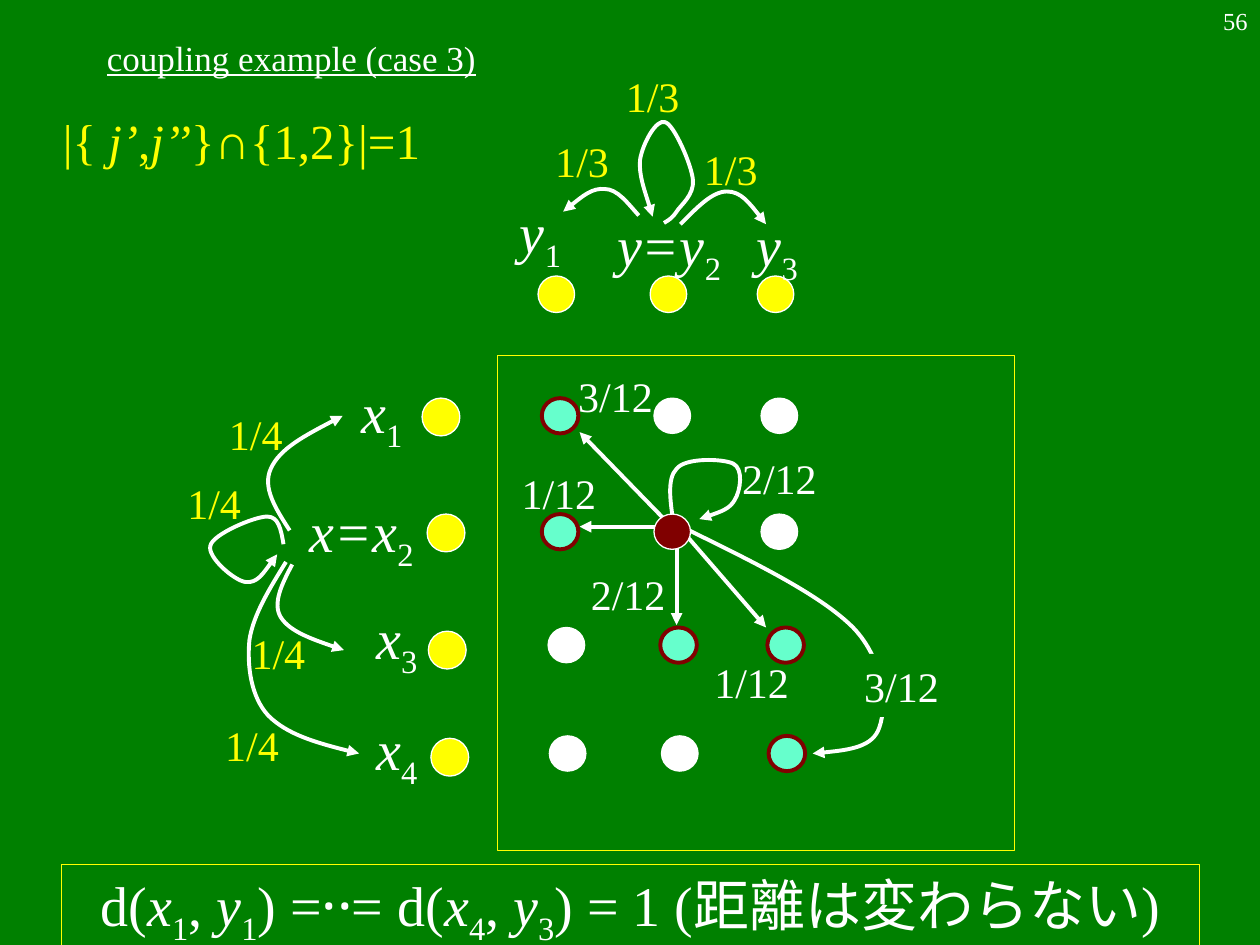
from lxml import etree
from pptx import Presentation
from pptx.dml.color import RGBColor
from pptx.enum.shapes import MSO_CONNECTOR as Connector, MSO_SHAPE as Shape
from pptx.enum.text import MSO_ANCHOR as Anchor, MSO_AUTO_SIZE as AutoSize, PP_ALIGN as Align
from pptx.oxml.ns import qn
from pptx.util import Inches, Pt

GREEN = RGBColor(0x00, 0x80, 0x00)
WHITE = RGBColor(0xFF, 0xFF, 0xFF)
YELLOW = RGBColor(0xFF, 0xFF, 0x00)
MAROON = RGBColor(0x80, 0x00, 0x00)
AQUA = RGBColor(0x66, 0xFF, 0xCC)
FONT = "Times New Roman"

# Dot grid: row (left, top, colours), with shared column offsets
COLUMNS = (0, 0.89, 1.74)
GRID_ROWS = (
    (4.3, 3.16, (AQUA, WHITE, WHITE)),
    (4.3, 4.08, (AQUA, MAROON, WHITE)),
    (4.35, 4.98, (WHITE, AQUA, AQUA)),
    (4.36, 5.84, (WHITE, WHITE, AQUA)),
)
X_DOTS = ((3.35, 3.16), (3.39, 4.08), (3.4, 5.01), (3.42, 5.86))

# State names: left, top, width, letters, index
STATES = (
    (2.76, 2.95, 0.54, "x", "1"), (2.35, 3.89, 1.04, "x=x", "2"),
    (2.88, 4.74, 0.54, "x", "3"), (2.88, 5.62, 0.54, "x", "4"),
    (4.02, 1.52, 0.54, "y", "1"), (4.79, 1.62, 1.04, "y=y", "2"),
    (5.9, 1.62, 0.54, "y", "3"),
)
MARGINAL_LABELS = (
    (4.86, 0.51, "1/3"), (5.48, 1.09, "1/3"), (4.3, 1.03, "1/3"),
    (1.38, 3.74, "1/4"), (1.71, 3.19, "1/4"), (1.89, 4.93, "1/4"), (1.68, 5.66, "1/4"),
)
JOINT_LABELS = (
    (4.49, 2.89, "3/12"), (4.04, 3.66, "1/12"), (5.79, 3.54, "2/12"),
    (4.59, 4.46, "2/12"), (5.57, 5.16, "1/12"),
)
STRAIGHT_ARROWS = (
    ((5.33, 4.18), (4.6, 3.43)), ((5.33, 4.18), (4.6, 4.18)),
    ((5.37, 4.21), (5.37, 4.96)), ((5.43, 4.23), (6.08, 4.98)),
)

# Bezier curves: a start, then two control points and an end per piece
JOINT_CURVES = (
    ((5.35, 4.18), (5.32, 3.99), (5.29, 3.8), (5.37, 3.72), (5.44, 3.63), (5.74, 3.64),
     (5.82, 3.68), (5.9, 3.72), (5.88, 3.89), (5.83, 3.97), (5.79, 4.04), (5.67, 4.08),
     (5.55, 4.12)),
    ((5.45, 4.2), (5.98, 4.46), (6.51, 4.72), (6.77, 4.98), (7.02, 5.24), (7.04, 5.6),
     (6.98, 5.77), (6.93, 5.93), (6.69, 5.96), (6.45, 5.98)),
)
Y_CURVES = (
    ((5.27, 1.77), (5.3, 1.75), (5.33, 1.74), (5.37, 1.68), (5.4, 1.63), (5.51, 1.55),
     (5.5, 1.43), (5.49, 1.31), (5.35, 0.99), (5.28, 0.97), (5.21, 0.94), (5.1, 1.14),
     (5.08, 1.27), (5.07, 1.39), (5.13, 1.55), (5.18, 1.72)),
    ((5.4, 1.78), (5.53, 1.65), (5.65, 1.52), (5.77, 1.52), (5.88, 1.52), (5.98, 1.65),
     (6.08, 1.78)),
    ((5.07, 1.71), (4.98, 1.61), (4.9, 1.5), (4.8, 1.5), (4.7, 1.49), (4.58, 1.59),
     (4.47, 1.68)),
)
X_CURVES = (
    ((2.25, 4.32), (2.23, 4.2), (2.21, 4.1), (2.12, 4.1), (2.02, 4.1), (1.69, 4.24),
     (1.67, 4.33), (1.64, 4.42), (1.86, 4.61), (1.95, 4.62), (2.04, 4.63), (2.12, 4.51),
     (2.2, 4.4)),
    ((2.3, 4.21), (2.19, 4.04), (2.08, 3.87), (2.15, 3.72), (2.22, 3.56), (2.47, 3.43),
     (2.72, 3.3)),
    ((2.32, 4.48), (2.24, 4.63), (2.16, 4.79), (2.23, 4.9), (2.3, 5.01), (2.52, 5.09),
     (2.73, 5.16)),
    ((2.27, 4.46), (2.14, 4.67), (2.01, 4.88), (1.98, 5.08), (1.96, 5.28), (1.99, 5.53),
     (2.13, 5.68), (2.28, 5.83), (2.56, 5.91), (2.85, 5.98)),
)


def write_text(shape, runs, size=24, color=WHITE, align=Align.CENTER, anchor=Anchor.TOP,
               wrap=False, underline=None):
    """Write runs, each a (text, style) pair; style is "", "italic" or "sub"."""
    frame = shape.text_frame
    frame.word_wrap = wrap
    frame.auto_size = AutoSize.NONE if wrap else AutoSize.SHAPE_TO_FIT_TEXT
    frame.vertical_anchor = anchor
    paragraph = frame.paragraphs[0]
    paragraph.alignment = align
    for text, style in [(runs, "")] if isinstance(runs, str) else runs:
        run = paragraph.add_run()
        run.text = text
        font = run.font
        font.name, font.size, font.underline = FONT, Pt(size), underline
        font.color.rgb = color
        if style == "italic":
            font.italic = True
        elif style == "sub":
            run._r.get_or_add_rPr().set("baseline", "-25000")


def add_text(slide, left, top, width, height, runs, **style):
    box = slide.shapes.add_textbox(Inches(left), Inches(top), Inches(width), Inches(height))
    write_text(box, runs, **style)


def add_box(slide, kind, left, top, width, height, fill=None, line=None, weight=0.75):
    shape = slide.shapes.add_shape(kind, Inches(left), Inches(top), Inches(width), Inches(height))
    shape.shadow.inherit = False
    if fill is None:
        shape.fill.background()
    else:
        shape.fill.solid()
        shape.fill.fore_color.rgb = fill
    if line is None:
        shape.line.fill.background()
    else:
        shape.line.color.rgb = line
        shape.line.width = Pt(weight)
    return shape


def style_arrow(shape):
    shape.line.color.rgb = WHITE
    shape.line.width = Pt(2.25)
    etree.SubElement(shape.line._get_or_add_ln(), qn("a:tailEnd"), type="triangle")


def add_arrow(slide, start, end):
    points = [Inches(value) for value in (*start, *end)]
    arrow = slide.shapes.add_connector(Connector.STRAIGHT, *points)
    style_arrow(arrow)
    etree.SubElement(arrow._element.spPr, qn("a:effectLst"))


def add_curved_arrow(slide, points):
    start, *others = [(Inches(x), Inches(y)) for x, y in points]
    builder = slide.shapes.build_freeform(*start)
    builder.add_line_segments(others, close=False)
    curve = builder.convert_to_shape()
    # Join every three points into one Bezier piece
    path = curve._element.spPr.find(".//" + qn("a:path"))
    segments = path.findall(qn("a:lnTo"))
    for first in range(0, len(segments), 3):
        bezier = etree.SubElement(path, qn("a:cubicBezTo"))
        for segment in segments[first:first + 3]:
            bezier.append(segment[0])
            path.remove(segment)
    curve.shadow.inherit = False
    curve.fill.background()
    style_arrow(curve)


def add_dot(slide, left, top, color, width=0.29, height=0.28):
    line, weight = (MAROON, 2.25) if color == AQUA else (WHITE, 0.75)
    add_box(slide, Shape.OVAL, left, top, width, height, color, line, weight)


def main():
    presentation = Presentation()
    presentation.slide_width, presentation.slide_height = Inches(10), Inches(7.5)
    slide = presentation.slides.add_slide(presentation.slide_layouts[6])
    slide.background.fill.solid()
    slide.background.fill.fore_color.rgb = GREEN

    # Title and condition
    add_text(slide, 0.75, 0.33, 6.42, 0.25, "coupling example (case 3)", size=20,
             align=Align.LEFT, anchor=Anchor.MIDDLE, wrap=True, underline=True)
    condition = [("|{ ", ""), ("j’", "italic"), (",", ""), ("j’’", "italic"),
                 ("}∩{1,2}|=1", "")]
    add_text(slide, 0.4, 0.83, 8.92, 6.17, condition, size=28, color=YELLOW,
             align=Align.LEFT, wrap=True)

    # Moves of the pair, under the dots
    for start, end in STRAIGHT_ARROWS:
        add_arrow(slide, start, end)
    for points in JOINT_CURVES:
        add_curved_arrow(slide, points)

    # Dots of both chains and of the pair
    for offset in COLUMNS:
        add_dot(slide, 4.27 + offset, 2.19, YELLOW, 0.29, 0.29)
    for left, top in X_DOTS:
        add_dot(slide, left, top, YELLOW, 0.3, 0.3)
    for left, top, colors in GRID_ROWS:
        for offset, color in zip(COLUMNS, colors):
            add_dot(slide, left + offset, top, color)

    # State names and probabilities
    for left, top, width, letters, index in STATES:
        add_text(slide, left, top, width, 0.71, [(letters, "italic"), (index, "sub")], size=32)
    for left, top, label in JOINT_LABELS:
        add_text(slide, left, top, 0.79, 0.5, label)
    long_move = add_box(slide, Shape.RECTANGLE, 6.76, 5.19, 0.79, 0.5, fill=GREEN)
    write_text(long_move, "3/12")

    # Moves of each chain
    for points in Y_CURVES + X_CURVES:
        add_curved_arrow(slide, points)
    for left, top, label in MARGINAL_LABELS:
        add_text(slide, left, top, 0.64, 0.5, label, color=YELLOW)

    # Grid frame, conclusion and page number
    add_box(slide, Shape.RECTANGLE, 3.95, 2.82, 4.1, 3.93, line=YELLOW)
    conclusion = add_box(slide, Shape.RECTANGLE, 0.49, 6.86, 9.03, 0.71, line=YELLOW)
    formula = [("d(", ""), ("x", "italic"), ("1", "sub"), (", ", ""), ("y", "italic"),
               ("1", "sub"), (") =‥= d(", ""), ("x", "italic"), ("4", "sub"), (", ", ""),
               ("y", "italic"), ("3", "sub"), (") = 1 (距離は変わらない)", "")]
    write_text(conclusion, formula, size=32)
    add_text(slide, 7.92, 0, 2.08, 0.5, "56", size=14, align=Align.RIGHT, wrap=True)

    presentation.save("out.pptx")


if __name__ == "__main__":
    main()
